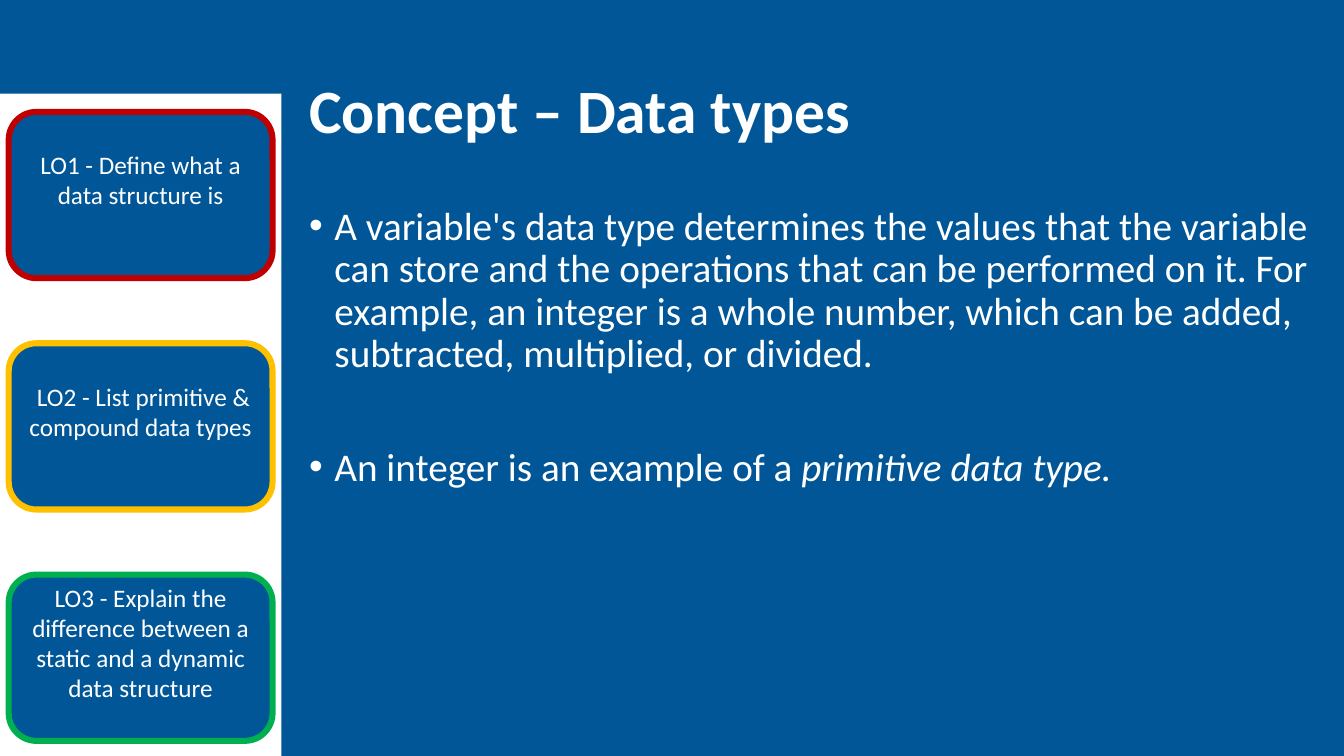
import pptx
import pptx.dml.color
import pptx.enum.shapes
import pptx.enum.text
import pptx.oxml
import pptx.oxml.ns
import pptx.util

Cm = pptx.util.Cm
Pt = pptx.util.Pt

TITLE = "Concept – Data types"
# Each bullet is a list of (text, italic) runs.
BULLETS = [
    [("A variable's data type determines the values that the variable can store "
      "and the operations that can be performed on it. For example, an integer is "
      "a whole number, which can be added, subtracted, multiplied, or divided.", False)],
    [("An integer is an example of a ", False), ("primitive data type.", True)],
]
OBJECTIVES = [
    ("LO1 - Define what a data structure is", "C00000"),
    (" LO2 - List primitive & compound data types", "FFC000"),
    ("LO3 - Explain the difference between a static and a dynamic data structure", "00B050"),
]

THEME = {
    "font": "Calibri",
    "blue": "015697",
    "white": "FFFFFF",
    "title_size": 44,
    "body_size": 28,
    "objective_size": 18,
    "border": 4.33,
}

SLIDE_WIDTH, SLIDE_HEIGHT = 33.87, 19.05
CONTENT_LEFT, CONTENT_WIDTH = 7.54, 25.78
TITLE_TOP, TITLE_HEIGHT = 1.02, 3.68
BODY_TOP, BODY_HEIGHT = 5.08, 12.09
PANEL_TOP, PANEL_WIDTH = 2.36, 7.09
BOX_TOP, BOX_WIDTH, BOX_HEIGHT, BOX_PITCH = 2.82, 6.65, 4.19, 5.83
BOX_BOTTOM_INSET = 0.77
LINE_SPACING = 0.9
FIRST_GAP, BULLET_GAP, BULLET_INDENT = 10, 51, 0.64


def color(value):
    return pptx.dml.color.RGBColor.from_string(value)


def format_runs(paragraph, size, bold=False):
    for run in paragraph.runs:
        run.font.name = THEME["font"]
        run.font.size = Pt(size)
        run.font.bold = bold
        run.font.color.rgb = color(THEME["white"])


def add_text_box(slide, top, height):
    shape = slide.shapes.add_textbox(
        Cm(CONTENT_LEFT), Cm(top), Cm(CONTENT_WIDTH), Cm(height))
    shape.text_frame.word_wrap = True
    return shape.text_frame


def add_filled_shape(slide, kind, left, top, width, height, fill):
    shape = slide.shapes.add_shape(kind, Cm(left), Cm(top), Cm(width), Cm(height))
    shape.shadow.inherit = False
    shape.fill.solid()
    shape.fill.fore_color.rgb = color(fill)
    return shape


def add_bullet_mark(paragraph):
    properties = paragraph._p.get_or_add_pPr()
    properties.set("marL", str(Cm(BULLET_INDENT)))
    properties.set("indent", str(-Cm(BULLET_INDENT)))
    for tag, attribute, value in (("a:buFont", "typeface", "Arial"),
                                  ("a:buChar", "char", "•")):
        element = pptx.oxml.parse_xml(f"<{tag} {pptx.oxml.ns.nsdecls('a')}/>")
        element.set(attribute, value)
        properties.append(element)


def add_title(slide):
    text_frame = add_text_box(slide, TITLE_TOP, TITLE_HEIGHT)
    text_frame.vertical_anchor = pptx.enum.text.MSO_ANCHOR.MIDDLE
    text_frame.text = TITLE
    paragraph = text_frame.paragraphs[0]
    paragraph.line_spacing = LINE_SPACING
    format_runs(paragraph, THEME["title_size"], bold=True)


def add_body(slide):
    text_frame = add_text_box(slide, BODY_TOP, BODY_HEIGHT)
    for index, runs in enumerate(BULLETS):
        paragraph = text_frame.add_paragraph() if index else text_frame.paragraphs[0]
        paragraph.line_spacing = LINE_SPACING
        paragraph.space_before = Pt(BULLET_GAP if index else FIRST_GAP)
        add_bullet_mark(paragraph)
        for text, italic in runs:
            run = paragraph.add_run()
            run.text = text
            run.font.italic = italic
        format_runs(paragraph, THEME["body_size"])


def add_objectives(slide):
    shapes = pptx.enum.shapes.MSO_SHAPE
    panel = add_filled_shape(slide, shapes.RECTANGLE, 0, PANEL_TOP, PANEL_WIDTH,
                             SLIDE_HEIGHT - PANEL_TOP, THEME["white"])
    panel.line.fill.background()
    left = (PANEL_WIDTH - BOX_WIDTH) / 2
    for index, (text, border) in enumerate(OBJECTIVES):
        box = add_filled_shape(slide, shapes.ROUNDED_RECTANGLE, left,
                               BOX_TOP + index * BOX_PITCH, BOX_WIDTH, BOX_HEIGHT,
                               THEME["blue"])
        box.line.color.rgb = color(border)
        box.line.width = Pt(THEME["border"])
        text_frame = box.text_frame
        text_frame.word_wrap = True
        text_frame.vertical_anchor = pptx.enum.text.MSO_ANCHOR.MIDDLE
        text_frame.margin_top = 0
        text_frame.margin_bottom = Cm(BOX_BOTTOM_INSET)
        text_frame.text = text
        paragraph = text_frame.paragraphs[0]
        paragraph.alignment = pptx.enum.text.PP_ALIGN.CENTER
        format_runs(paragraph, THEME["objective_size"])


def main():
    presentation = pptx.Presentation()
    presentation.slide_width = Cm(SLIDE_WIDTH)
    presentation.slide_height = Cm(SLIDE_HEIGHT)
    slide = presentation.slides.add_slide(presentation.slide_layouts[6])
    slide.background.fill.solid()
    slide.background.fill.fore_color.rgb = color(THEME["blue"])
    add_title(slide)
    add_body(slide)
    add_objectives(slide)
    presentation.save("out.pptx")


if __name__ == "__main__":
    main()
